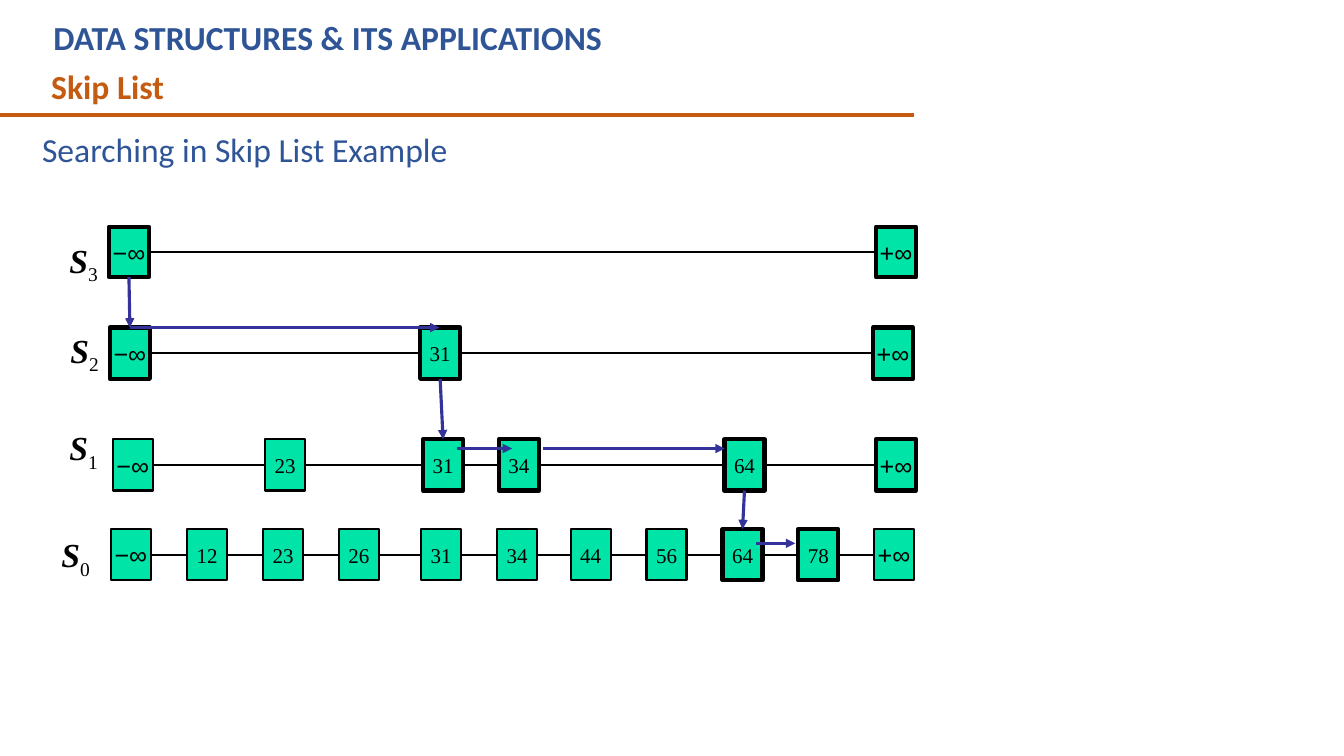
"""Build a slide that traces a search through a four-level skip list."""
from dataclasses import dataclass
from itertools import pairwise

from lxml import etree
from pptx import Presentation
from pptx.dml.color import RGBColor
from pptx.enum.shapes import MSO_CONNECTOR, MSO_SHAPE
from pptx.enum.text import MSO_ANCHOR, MSO_AUTO_SIZE, PP_ALIGN
from pptx.oxml.ns import qn
from pptx.util import Pt

STRAIGHT, CURVE = MSO_CONNECTOR.STRAIGHT, MSO_CONNECTOR.CURVE
RECT = MSO_SHAPE.RECTANGLE
TOP, MIDDLE = MSO_ANCHOR.TOP, MSO_ANCHOR.MIDDLE
LEFT, CENTER, JUSTIFY = PP_ALIGN.LEFT, PP_ALIGN.CENTER, PP_ALIGN.JUSTIFY
GROW = MSO_AUTO_SIZE.SHAPE_TO_FIT_TEXT
SIDE_TOP, SIDE_LEFT, SIDE_BOTTOM, SIDE_RIGHT = range(4)


@dataclass(frozen=True)
class Theme:
    blue: str = "2F5597"
    orange: str = "C55A11"
    black: str = "000000"
    node: str = "00E4A8"
    path_arrow: str = "333399"
    heading_font: str = "Calibri"
    number_font: str = "Times New Roman"
    infinity_font: str = "Arial"
    heading: int = 24
    infinity: int = 18
    number: int = 15
    thin: float = 1.5
    arrow: float = 2.25
    thick: float = 3


NODE_WIDTH = 28.6
COLUMNS = {
    "−∞": 79.2, "12": 133.7, "23": 187.9, "26": 242.1, "31": 300.8, "34": 355,
    "44": 407.6, "56": 461.8, "64": 516.1, "78": 570.2, "+∞": 624.3,
}
LEVELS = [
    ("3", (42.5, 167.8), 162, 36, -1.4, 1.4, ["−∞", "+∞"], {"−∞", "+∞"}),
    ("2", (43.2, 231.8), 234, 36.6, -0.7, -0.7,
     ["−∞", "31", "+∞"], {"−∞", "31", "+∞"}),
    ("1", (42.5, 301.7), 313.8, 36.6, 1.4, 1.4,
     ["−∞", "23", "31", "34", "64", "+∞"], {"31", "34", "64", "+∞"}),
    ("0", (36.7, 378), 378, 36.6, 0, 0, list(COLUMNS), {"64", "78"}),
]
DROPS = [("3", "2", "−∞"), ("2", "1", "31"), ("1", "0", "64")]
FORWARD_MOVES = [
    (92.9, 314, 234), (326.2, 365.8, 320.4),
    (388.1, 517.7, 320.4), (540, 568.1, 388.1),
]


class SkipListSlide:
    def __init__(self, prs, theme):
        self.theme = theme
        self.s = prs.slides.add_slide(prs.slide_layouts[5])

    def run(self, p, text, font, size, color, bold=False, italic=False):
        r = p.add_run()
        r.text = text
        r.font.name, r.font.size = font, Pt(size)
        r.font.bold, r.font.italic = bold, italic
        r.font.color.rgb = RGBColor.from_string(color)
        return r

    def heading(self, sp, box, text, color, bold=True):
        sp.left, sp.top, sp.width, sp.height = map(Pt, box)
        tf = sp.text_frame
        tf.word_wrap, tf.auto_size = True, GROW
        tf.vertical_anchor = TOP
        p = tf.paragraphs[0]
        p.alignment = LEFT
        self.run(p, text, self.theme.heading_font, self.theme.heading, color, bold)
        return sp

    def title(self, box, text):
        return self.heading(self.s.shapes.title, box, text, self.theme.blue)

    def text_box(self, box, text, color, bold=True):
        sp = self.s.shapes.add_textbox(*map(Pt, box))
        return self.heading(sp, box, text, color, bold)

    def topic(self, box, text):
        tf = self.text_box(box, text, self.theme.blue, False).text_frame
        tf.margin_top = tf.margin_bottom = 0
        tf.vertical_anchor = MIDDLE
        p = tf.paragraphs[0]
        p.level, p.alignment, p.line_spacing = 1, JUSTIFY, 1.14
        pPr = p._p.get_or_add_pPr()
        pPr.set("marL", str(Pt(18)))
        pPr.set("indent", str(-Pt(18)))

    def level_label(self, left, top, index):
        t = self.theme
        sp = self.s.shapes.add_textbox(Pt(left), Pt(top), Pt(34.6), Pt(40.3))
        tf = sp.text_frame
        tf.word_wrap, tf.auto_size = False, GROW
        p = tf.paragraphs[0]
        p.alignment = CENTER
        self.run(p, "S", t.number_font, t.heading, t.black, True, True)
        r = self.run(p, index, t.number_font, t.heading, t.black)
        r._r.get_or_add_rPr().set("baseline", "-25000")

    def node(self, left, top, height, key, visited):
        t = self.theme
        sp = self.s.shapes.add_shape(RECT, Pt(left), Pt(top), Pt(NODE_WIDTH), Pt(height))
        sp.shadow.inherit = False
        sp.fill.solid()
        sp.fill.fore_color.rgb = RGBColor.from_string(t.node)
        sp.line.color.rgb = RGBColor.from_string(t.black)
        sp.line.width = Pt(t.thick if visited else t.thin)
        tf = sp.text_frame
        tf.word_wrap, tf.vertical_anchor = False, MIDDLE
        p = tf.paragraphs[0]
        p.alignment = CENTER
        if "∞" in key:
            self.run(p, key, t.infinity_font, t.infinity, t.black)
        else:
            self.run(p, key, t.number_font, t.number, t.black)
        return sp

    def line(self, ends, color, width, kind=STRAIGHT, arrow=False):
        cxn = self.s.shapes.add_connector(kind, *map(Pt, ends))
        cxn.line.color.rgb = RGBColor.from_string(color)
        cxn.line.width = Pt(width)
        if arrow:
            tail = etree.SubElement(cxn.line._get_or_add_ln(), qn("a:tailEnd"))
            tail.set("type", "triangle")
        etree.SubElement(cxn._element.spPr, qn("a:effectLst"))
        return cxn

    def join(self, start, start_side, end, end_side, color, width, arrow=False):
        cxn = self.line((0, 0, 0, 0), color, width, arrow=arrow)
        cxn.begin_connect(start, start_side)
        cxn.end_connect(end, end_side)


def main():
    prs = Presentation()
    prs.slide_width, prs.slide_height = Pt(960), Pt(540)
    theme = Theme()
    page = SkipListSlide(prs, theme)

    page.title((31, 8.6, 590.4, 36), "DATA STRUCTURES & ITS APPLICATIONS")
    page.text_box((29.5, 43.2, 630, 36), "Skip List", theme.orange)
    page.line((-0.7, 82.1, 653, 82.1), theme.orange, theme.thick)
    page.topic((23, 87.8, 652.3, 33.1), "Searching in Skip List Example")

    nodes = {}
    for index, label_at, top, height, shift, end_shift, keys, visited in LEVELS:
        page.level_label(*label_at, index)
        for key in keys:
            left = COLUMNS[key] + (end_shift if key == "+∞" else shift)
            nodes[index, key] = page.node(left, top, height, key, key in visited)
        for a, b in pairwise(keys):
            page.join(nodes[index, a], SIDE_RIGHT, nodes[index, b], SIDE_LEFT,
                      theme.black, theme.thin)

    for upper, lower, key in DROPS:
        page.join(nodes[upper, key], SIDE_BOTTOM, nodes[lower, key], SIDE_TOP,
                  theme.path_arrow, theme.arrow, arrow=True)
    for x1, x2, y in FORWARD_MOVES:
        page.line((x1, y, x2, y), theme.path_arrow, theme.arrow, CURVE, True)

    prs.save("out.pptx")


if __name__ == "__main__":
    main()
